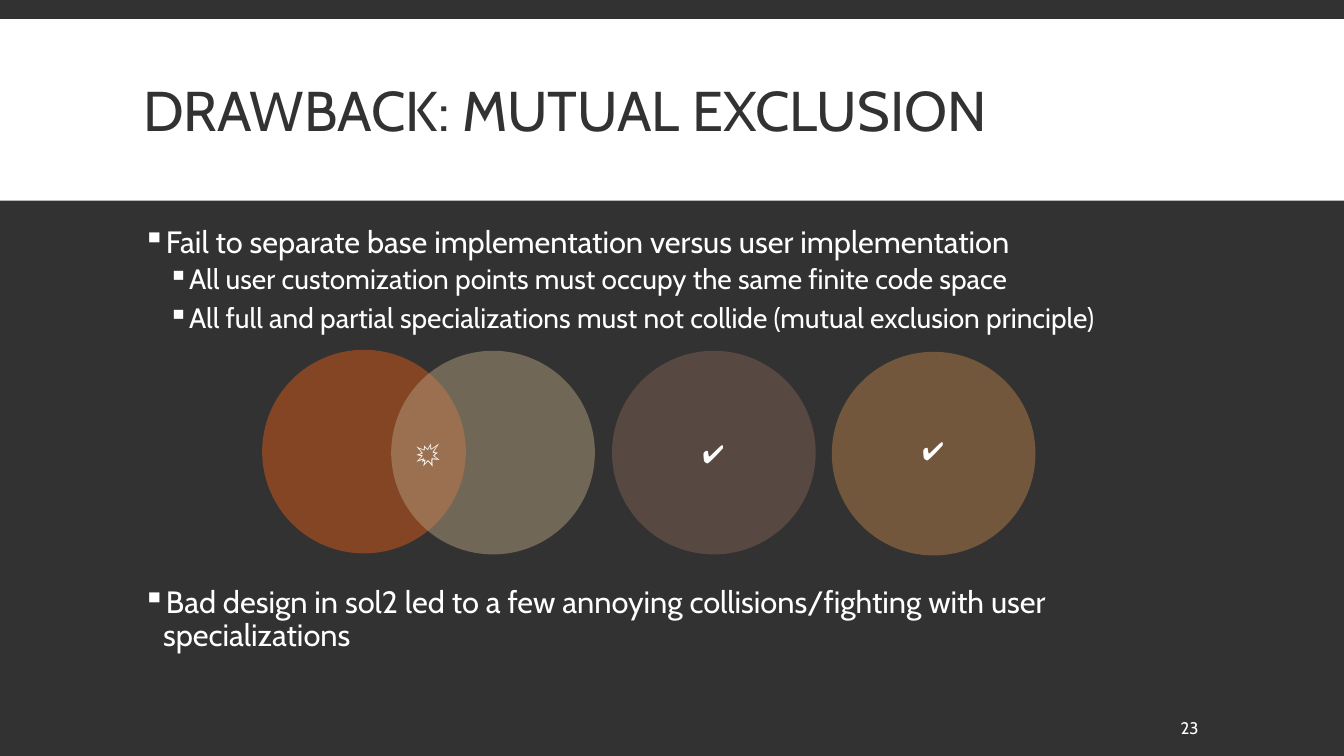
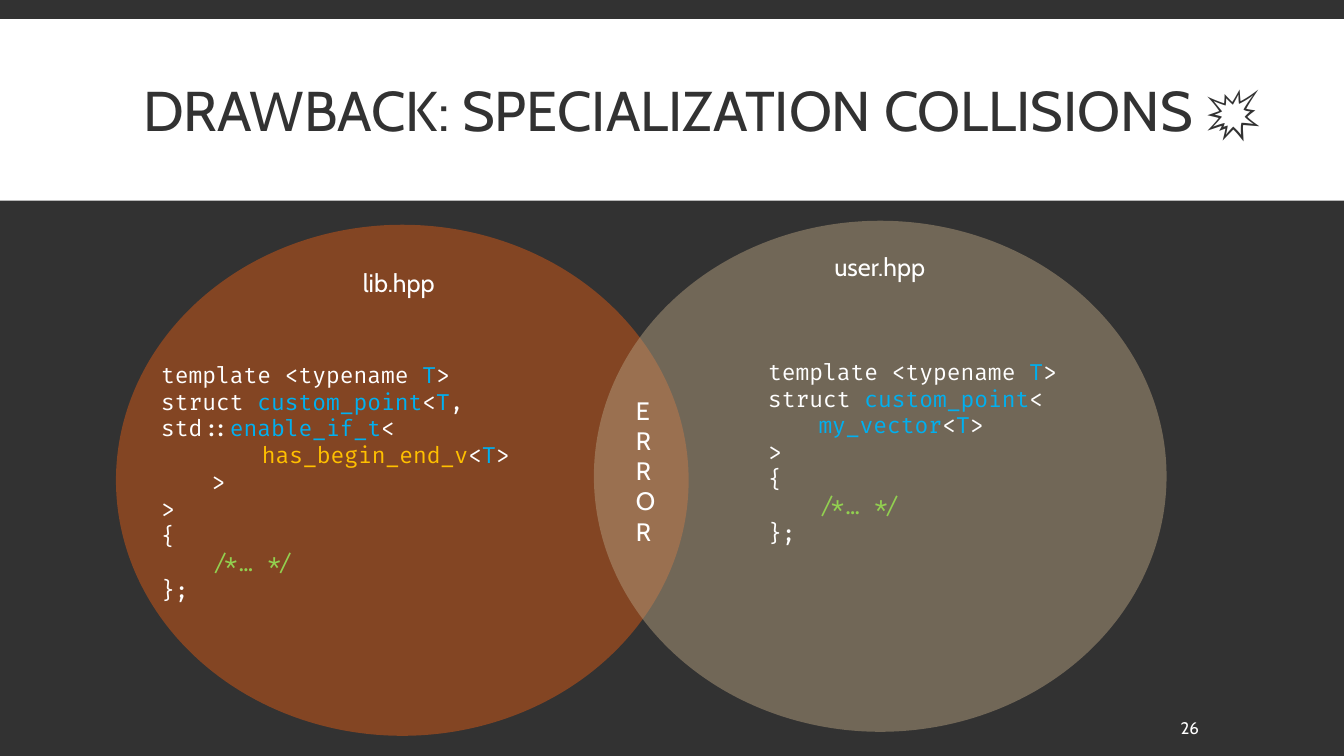
from dataclasses import dataclass

from lxml.etree import SubElement
from pptx import Presentation
from pptx.dml.color import RGBColor
from pptx.enum.shapes import MSO_SHAPE
from pptx.enum.text import MSO_ANCHOR, PP_ALIGN
from pptx.oxml.ns import qn
from pptx.util import Inches, Pt


@dataclass(frozen=True)
class Theme:
    font: str = "Cabin"
    code_font: str = "Fira Code"
    dark: str = "323232"
    light: str = "FFFFFF"
    orange: str = "D55816"
    sand: str = "B19C7D"
    brown: str = "7F5F52"
    tan: str = "B27D49"
    type_name: str = "00B0F0"
    trait: str = "FFC000"
    comment: str = "92D050"
    title_size: int = 40
    bullet_sizes: tuple = (22, 20)
    label_size: int = 18
    code_size: int = 16
    number_size: int = 12


T = Theme()
PARAM = ("T", T.type_name)
COMMENT = ("/*… */", T.comment)
TEMPLATE = (0, ["template <typename ", PARAM, ">"])
BODY = [(0, [">"]), (0, ["{"]), (1, [COMMENT]), (0, ["};"])]

LIB_CODE = [
    TEMPLATE,
    (0, ["struct ", ("custom_point", T.type_name), "<", PARAM, ","]),
    (0, ["std::", ("enable_if_t", T.type_name), "<"]),
    (2, [("has_begin_end_v", T.trait), "<", PARAM, ">"]),
    (1, [">"]),
    *BODY,
]
USER_CODE = [
    TEMPLATE,
    (0, ["struct ", ("custom_point", T.type_name), "<"]),
    (1, [("my_vector", T.type_name), "<", PARAM, ">"]),
    *BODY,
]


def add_text(p, text, size, color=T.light, font=T.font):
    r = p.add_run()
    r.text = text
    r.font.size = Pt(size)
    r.font.name = font
    r.font.color.rgb = RGBColor.from_string(color)


def place(sp, left, top, width, height):
    sp.left, sp.top = Inches(left), Inches(top)
    sp.width, sp.height = Inches(width), Inches(height)


def add_box(slide, box, anchor=MSO_ANCHOR.TOP):
    tf = slide.shapes.add_textbox(*map(Inches, box)).text_frame
    tf.word_wrap = True
    tf.vertical_anchor = anchor
    return tf


def paragraphs(tf, items):
    for i, item in enumerate(items):
        yield (tf.add_paragraph() if i else tf.paragraphs[0]), item


def add_filled(slide, kind, box, color, alpha=None):
    sp = slide.shapes.add_shape(kind, *map(Inches, box))
    sp.shadow.inherit = False
    sp.line.fill.background()
    sp.fill.solid()
    sp.fill.fore_color.rgb = RGBColor.from_string(color)
    if alpha is not None:
        clr = sp._element.spPr.find(".//" + qn("a:srgbClr"))
        SubElement(clr, qn("a:alpha"), val=str(alpha * 1000))
    return sp


def add_circle(slide, box, color):
    add_filled(slide, MSO_SHAPE.OVAL, box, color, alpha=50)


def add_label(slide, text, box, align=PP_ALIGN.CENTER, anchor=MSO_ANCHOR.MIDDLE):
    p = add_box(slide, box, anchor).paragraphs[0]
    p.alignment = align
    add_text(p, text, T.label_size)


def add_bullets(slide, box, items):
    for p, (level, text) in paragraphs(add_box(slide, box), items):
        p.level = level
        p.line_spacing = 0.9
        p.space_before, p.space_after = (Pt(2), Pt(4)) if level else (Pt(12), Pt(2))
        pPr = p._p.get_or_add_pPr()
        pPr.set("marL", str(Inches(0.2 + 0.25 * level)))
        pPr.set("indent", str(Inches(-0.2)))
        SubElement(pPr, qn("a:buChar"), char="▪")
        add_text(p, text, T.bullet_sizes[level])


def add_code(slide, box, lines):
    for p, (indent, tokens) in paragraphs(add_box(slide, box), lines):
        p._p.get_or_add_pPr().set("marL", str(Inches(0.5 * indent)))
        for token in tokens:
            text, color = (token, T.light) if isinstance(token, str) else token
            add_text(p, text, T.code_size, color, T.code_font)


def add_slide(prs, title, number, title_width=10.7):
    slide = prs.slides.add_slide(prs.slide_layouts.get_by_name("Title Only"))
    band = add_filled(slide, MSO_SHAPE.RECTANGLE, (0, 0.19, 13.33, 1.8), T.light)
    slide.shapes._spTree.insert(2, band._element)

    sp = slide.shapes.title
    place(sp, 1.32, 0.31, title_width, 1.65)
    tf = sp.text_frame
    tf.vertical_anchor = MSO_ANCHOR.MIDDLE
    p = tf.paragraphs[0]
    p.alignment = PP_ALIGN.LEFT
    p.line_spacing = 0.85
    add_text(p, title, T.title_size, T.dark)

    tf = add_box(slide, (11.66, 7.02, 1.03, 0.4), MSO_ANCHOR.MIDDLE)
    tf.margin_left = Inches(0.05)
    add_text(tf.paragraphs[0], str(number), T.number_size)
    return slide


def build_exclusion(prs):
    slide = add_slide(prs, "DRAWBACK: MUTUAL EXCLUSION", 23)
    add_bullets(slide, (1.32, 2.2, 10.7, 1.3), [
        (0, "Fail to separate base implementation versus user implementation"),
        (1, "All user customization points must occupy the same finite code space"),
        (1, "All full and partial specializations must not collide "
            "(mutual exclusion principle)"),
    ])
    add_bullets(slide, (1.32, 5.77, 10.7, 1.03), [
        (0, "Bad design in sol2 led to a few annoying collisions/fighting "
            "with user specializations"),
    ])
    for left, top, color in [(2.6, 3.47, T.orange), (3.88, 3.48, T.sand),
                             (6.07, 3.48, T.brown), (8.25, 3.49, T.tan)]:
        add_circle(slide, (left, top, 2.02, 2.02), color)
    for text, left, top in [("💥", 3.8, 4.29), ("✔️", 6.63, 4.3), ("✔️", 8.81, 4.27)]:
        add_label(slide, text, (left, top, 0.89, 0.4))


def build_collisions(prs):
    slide = add_slide(prs, "DRAWBACK: SPECIALIZATION COLLISIONS 💥", 26, 11.79)
    add_circle(slide, (1.15, 2.23, 5.68, 5.07), T.orange)
    add_circle(slide, (5.89, 2.19, 5.68, 5.07), T.sand)
    add_code(slide, (1.5, 3.53, 4.28, 2.52), LIB_CODE)
    add_code(slide, (7.52, 3.5, 3.94, 1.99), USER_CODE)
    add_label(slide, "lib.hpp", (2.83, 2.6, 2.25, 0.4))
    add_label(slide, "user.hpp", (7.6, 2.44, 2.25, 0.4))
    add_label(slide, "E R R O R", (6.21, 3.87, 0.47, 1.62),
              align=PP_ALIGN.LEFT, anchor=MSO_ANCHOR.TOP)


def main():
    prs = Presentation()
    prs.slide_width, prs.slide_height = Inches(13.33), Inches(7.5)
    fill = prs.slide_master.background.fill
    fill.solid()
    fill.fore_color.rgb = RGBColor.from_string(T.dark)
    build_exclusion(prs)
    build_collisions(prs)
    prs.save("out.pptx")


if __name__ == "__main__":
    main()
